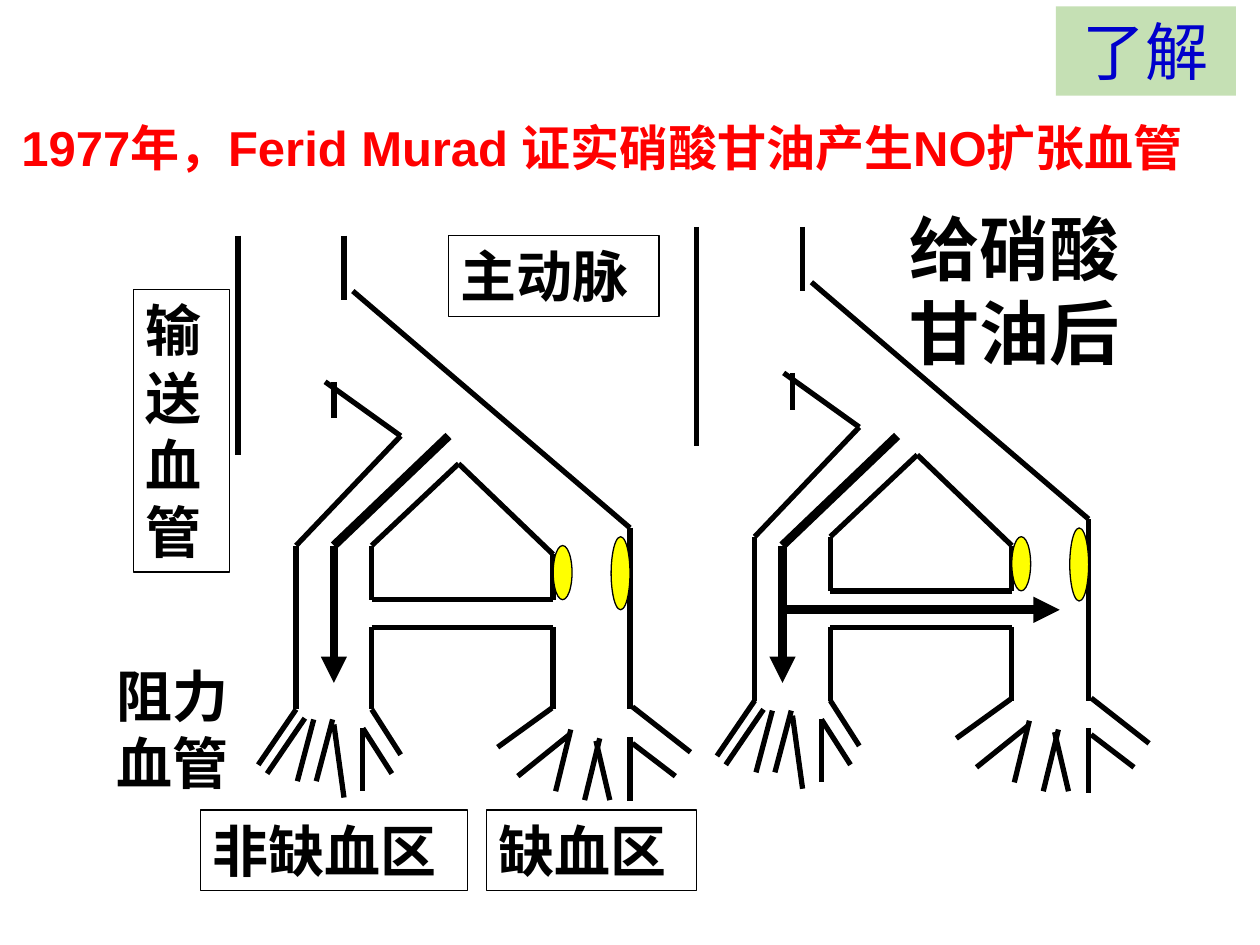
"""Build a slide on how nitroglycerin widens blood vessels."""
from dataclasses import dataclass
from typing import NamedTuple, Optional

import pptx
import pptx.dml.color
import pptx.enum.shapes
import pptx.enum.text
import pptx.oxml.ns
import pptx.util
from lxml import etree

Inches = pptx.util.Inches
Pt = pptx.util.Pt
RGBColor = pptx.dml.color.RGBColor
Shape = pptx.enum.shapes.MSO_SHAPE
Align = pptx.enum.text.PP_ALIGN
Anchor = pptx.enum.text.MSO_ANCHOR
qn = pptx.oxml.ns.qn

BLACK = RGBColor(0x00, 0x00, 0x00)
RED = RGBColor(0xFF, 0x00, 0x00)
BLUE = RGBColor(0x00, 0x00, 0xCC)
GREEN = RGBColor(0xC5, 0xE0, 0xB4)
YELLOW = RGBColor(0xFF, 0xFF, 0x00)
HAN = "Noto Sans CJK SC"
LOW = 4.98


class Line(NamedTuple):
    x1: float
    y1: float
    x2: float
    y2: float


class Flow(NamedTuple):
    line: Line
    head: bool


class Plaque(NamedTuple):
    x: float
    y: float
    high: float


class Shift(NamedTuple):
    dx: float
    dy: float


@dataclass
class Label:
    text: str
    x: float
    y: float
    wide: float
    high: float
    size: int = 32
    font: str = HAN
    bold: bool = True
    color: RGBColor = BLACK
    frame: bool = True
    fill: Optional[RGBColor] = None
    align: Align = Align.LEFT


TRUNK = [
    Line(1.89, 1.87, 1.89, 3.61), Line(2.73, 1.87, 2.73, 2.38),
    Line(2.65, 3.03, 2.65, 3.32), Line(2.8, 2.31, 5, 4.19),
    Line(2.58, 3.03, 3.18, 3.46), Line(3.64, 3.68, 2.95, 4.33),
    Line(3.18, 3.46, 2.35, 4.33), Line(3.64, 3.68, 4.39, 4.4),
    Line(2.35, 4.33, 2.35, 5.63), Line(2.95, 4.33, 2.95, 4.76),
    Line(2.95, LOW, 2.95, 5.63), Line(4.39, 4.4, 4.39, 4.76),
    Line(5, 4.19, 5, 5.63), Line(4.39, LOW, 4.39, 5.63),
    Line(2.95, 4.76, 4.39, 4.76), Line(2.95, LOW, 4.39, LOW),
]
TWIGS = [
    Line(2.35, 5.63, 2.05, 6.07), Line(2.95, 5.63, 3.18, 5.99),
    Line(2.88, 5.78, 3.11, 6.14), Line(2.42, 5.7, 2.12, 6.14),
    Line(2.49, 5.71, 2.36, 6.2), Line(2.88, 5.78, 2.88, 6.28),
    Line(2.64, 5.71, 2.51, 6.2), Line(2.65, 5.75, 2.73, 6.33),
    Line(4.38, 5.62, 3.95, 5.93), Line(4.52, 5.83, 4.11, 6.16),
    Line(4.53, 5.79, 4.41, 6.28), Line(4.76, 5.86, 4.64, 6.35),
    Line(4.73, 5.88, 4.84, 6.35), Line(5, 5.85, 5, 6.36),
    Line(5.02, 5.61, 5.48, 5.97), Line(5.02, 5.9, 5.36, 6.16),
]
PLAQUES = [Plaque(4.39, 4.33, 0.43), Plaque(4.85, 4.26, 0.58)]
SHIFTS = [Shift(0, 0), Shift(3.64, -0.07)]
FLOWS = [
    Flow(Line(3.56, 3.46, 2.65, 4.33), False),
    Flow(Line(2.65, 4.33, 2.65, 5.42), True),
    Flow(Line(7.12, 3.46, 6.21, 4.33), False),
    Flow(Line(6.21, 4.33, 6.21, 5.42), True),
    Flow(Line(6.21, 4.84, 8.41, 4.84), True),
]
LABELS = [
    Label("主动脉", 3.56, 1.87, 1.67, 0.64),
    Label("输送血管", 1.06, 2.3, 0.76, 2.24),
    Label("阻力血管", 0.83, 5.2, 1.36, 1.17, frame=False),
    Label("缺血区", 3.86, 6.43, 1.67, 0.64),
    Label("非缺血区", 1.59, 6.43, 2.12, 0.64),
    Label("给硝酸甘油后", 7.12, 1.58, 2.05, 1.43, size=40, frame=False),
    Label("了解", 8.38, 0.05, 1.43, 0.71, size=36, font="Times New Roman",
          bold=False, color=BLUE, frame=False, fill=GREEN, align=Align.CENTER),
]
TITLE = Label("1977年，Ferid Murad 证实硝酸甘油产生NO扩张血管", 0.07, 0.88,
              9.83, 0.57, size=28, font="Arial", color=RED, frame=False)


def move(line: Line, by: Shift) -> Line:
    """Shift a line, keeping the lower wall of the cross vessel level."""
    y1, y2 = (y if y == LOW else y + by.dy for y in (line.y1, line.y2))
    return Line(line.x1 + by.dx, y1, line.x2 + by.dx, y2)


def draw_line(slide, line: Line, width: float = 3, head: bool = False) -> None:
    """Draw one straight line, with an arrowhead if asked."""
    kind = pptx.enum.shapes.MSO_CONNECTOR.STRAIGHT
    wire = slide.shapes.add_connector(kind, *map(Inches, line))
    wire.line.color.rgb = BLACK
    wire.line.width = Pt(width)
    if head:
        etree.SubElement(wire.line._get_or_add_ln(), qn("a:tailEnd"), type="triangle")
    etree.SubElement(wire._element.spPr, qn("a:effectLst"))


def draw_plaque(slide, plaque: Plaque, by: Shift) -> None:
    """Draw one yellow plaque on a vessel wall."""
    box = (plaque.x + by.dx, plaque.y + by.dy, 0.15, plaque.high)
    oval = slide.shapes.add_shape(Shape.OVAL, *map(Inches, box))
    oval.shadow.inherit = False
    oval.fill.solid()
    oval.fill.fore_color.rgb = YELLOW
    oval.line.color.rgb = BLACK
    oval.line.width = Pt(0.75)


def write(shape, label: Label) -> None:
    """Put the text of a label into a shape."""
    frame = shape.text_frame
    frame.word_wrap = True
    frame.auto_size = pptx.enum.text.MSO_AUTO_SIZE.NONE
    frame.vertical_anchor = Anchor.TOP
    para = frame.paragraphs[0]
    para.alignment = label.align
    run = para.add_run()
    run.text = label.text
    font = run.font
    font.name = label.font
    font.size = Pt(label.size)
    font.bold = label.bold
    font.color.rgb = label.color
    etree.SubElement(run._r.get_or_add_rPr(), qn("a:ea"), typeface=HAN)


def draw_label(slide, label: Label) -> None:
    """Draw one label as a box or as plain text."""
    box = map(Inches, (label.x, label.y, label.wide, label.high))
    if label.frame or label.fill:
        shape = slide.shapes.add_shape(Shape.RECTANGLE, *box)
        shape.shadow.inherit = False
        shape.fill.background()
        shape.line.fill.background()
    else:
        shape = slide.shapes.add_textbox(*box)
    if label.fill:
        shape.fill.solid()
        shape.fill.fore_color.rgb = label.fill
    if label.frame:
        shape.line.color.rgb = BLACK
        shape.line.width = Pt(0.75)
    write(shape, label)


def main() -> None:
    """Build and save the slide."""
    deck = pptx.Presentation()
    deck.slide_width, deck.slide_height = Inches(10), Inches(7.5)
    slide = deck.slides.add_slide(deck.slide_layouts[5])
    title = slide.shapes.title
    title.left, title.top = Inches(TITLE.x), Inches(TITLE.y)
    title.width, title.height = Inches(TITLE.wide), Inches(TITLE.high)
    write(title, TITLE)
    for by in SHIFTS:
        for line in TRUNK + TWIGS:
            draw_line(slide, move(line, by))
        for plaque in PLAQUES:
            draw_plaque(slide, plaque, by)
    for flow in FLOWS:
        draw_line(slide, flow.line, 5, flow.head)
    for label in LABELS:
        draw_label(slide, label)
    deck.save("out.pptx")


if __name__ == "__main__":
    main()
